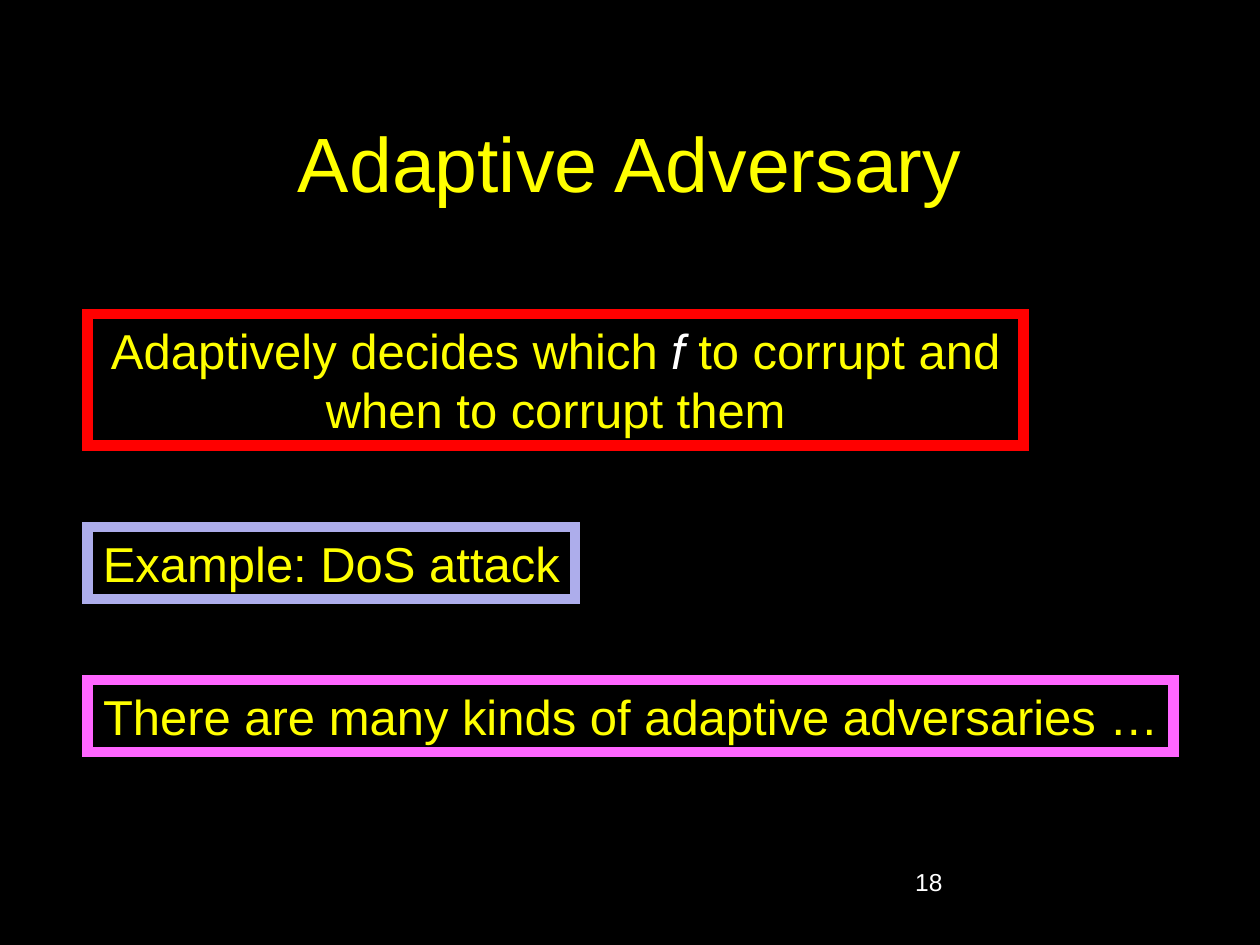
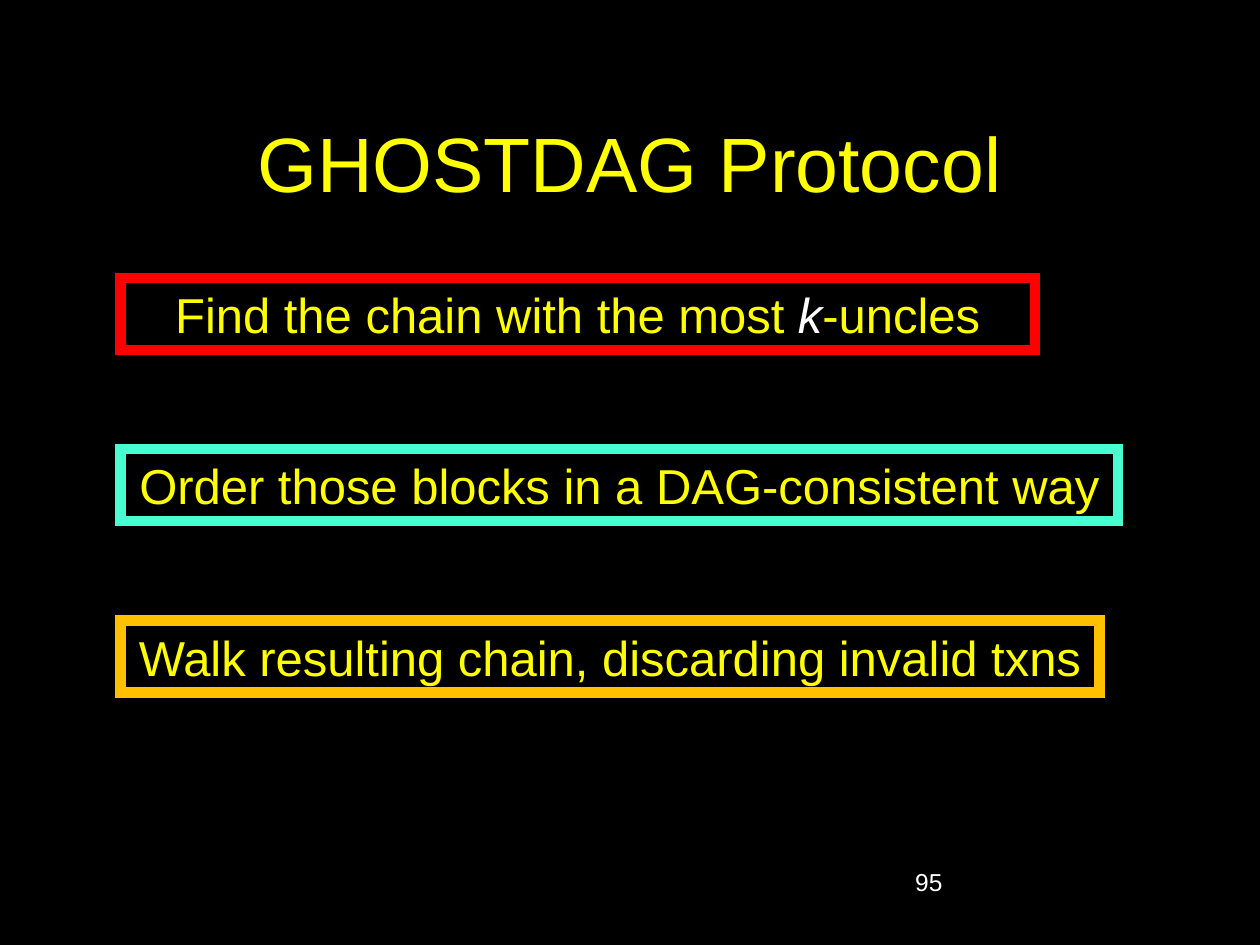
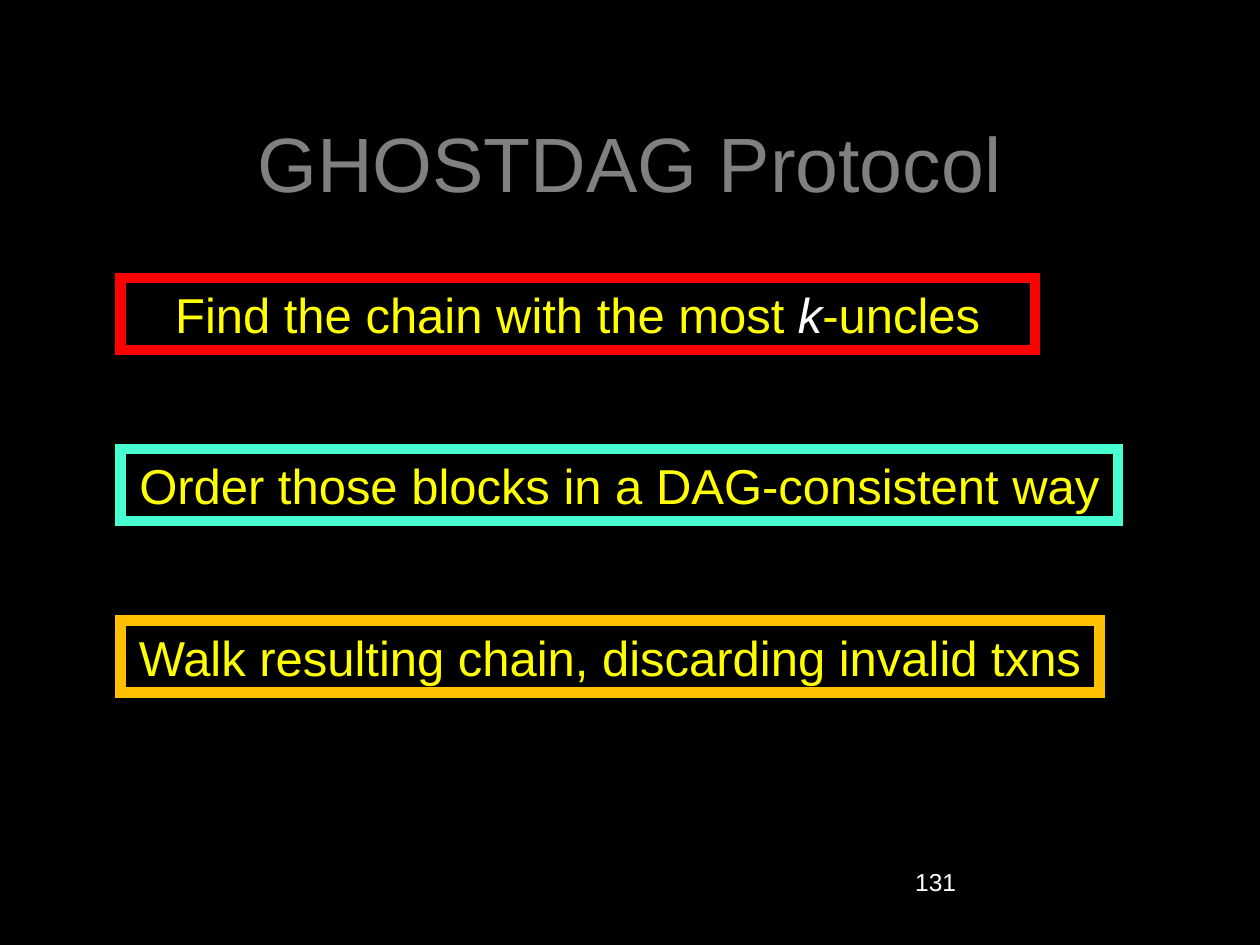
from dataclasses import dataclass

from lxml import etree
from pptx import Presentation
from pptx.dml.color import RGBColor
from pptx.enum.shapes import MSO_SHAPE
from pptx.enum.text import MSO_ANCHOR, PP_ALIGN
from pptx.oxml.ns import qn
from pptx.util import Inches, Pt

RECT = MSO_SHAPE.RECTANGLE
LEFT, CENTER = PP_ALIGN.LEFT, PP_ALIGN.CENTER
TOP, MIDDLE = MSO_ANCHOR.TOP, MSO_ANCHOR.MIDDLE
COLS, ROWS = 100, 75


@dataclass(frozen=True)
class Theme:
    font: str = "Arial"
    back: str = "000000"
    text: str = "FFFF00"
    accent: str = "FFFFFF"
    faded: str = "808080"
    red: str = "FF0000"
    lilac: str = "ADADEB"
    pink: str = "FF66FF"
    mint: str = "47FFD1"
    amber: str = "FFC000"
    title: int = 44
    body: int = 28
    note: int = 14
    lead: float = 33.8  # line height of body text, points
    border: int = 6


class Deck:
    def __init__(self, theme):
        self.theme = theme
        self.prs = Presentation()
        self.prs.slide_width, self.prs.slide_height = Inches(10), Inches(7.5)
        self.slide = None

    def place(self, left, top, width, height):
        """Turn grid columns and rows into slide lengths."""
        col, row = self.prs.slide_width / COLS, self.prs.slide_height / ROWS
        return [round(n * unit) for n, unit in
                zip((left, top, width, height), (col, row, col, row))]

    def style(self, para, size, color, align):
        para.alignment = align
        font = para.font
        font.name, font.size = self.theme.font, Pt(size)
        font.color.rgb = RGBColor.from_string(color)

    def label(self, text, area, size, color, align=LEFT, anchor=TOP):
        frame = self.slide.shapes.add_textbox(*self.place(*area)).text_frame
        frame.word_wrap, frame.vertical_anchor = True, anchor
        frame.text = text
        self.style(frame.paragraphs[0], size, color, align)

    def page(self, title, number, color):
        """Start a slide with its title and page number."""
        self.slide = self.prs.slides.add_slide(self.prs.slide_layouts[6])
        fill = self.slide.background.fill
        fill.solid()
        fill.fore_color.rgb = RGBColor.from_string(self.theme.back)
        self.label(title, (7.5, 6.6, 85, 12.5), self.theme.title, color,
                   CENTER, MIDDLE)
        self.label(number, (71.65, 68.3, 20.8, 5), self.theme.note,
                   self.theme.accent)

    def box(self, text, area, color, wrap):
        """Framed statement; a part between asterisks is a variable."""
        theme = self.theme
        shape = self.slide.shapes.add_shape(RECT, *self.place(*area))
        shape.shadow.inherit = False
        shape.fill.solid()
        shape.fill.fore_color.rgb = RGBColor.from_string(theme.back)
        shape.line.color.rgb = RGBColor.from_string(color)
        shape.line.width = Pt(theme.border)
        # Sharp corners
        edge = shape.line._get_or_add_ln()
        etree.SubElement(edge, qn("a:miter"), lim="800000")
        frame = shape.text_frame
        frame.word_wrap, frame.vertical_anchor = wrap, TOP
        para = frame.paragraphs[0]
        para.line_spacing = Pt(theme.lead)
        self.style(para, theme.body, theme.text, CENTER)
        for i, part in enumerate(text.split("*")):
            run = para.add_run()
            run.text = part
            if i % 2:
                run.font.italic = True
                run.font.color.rgb = RGBColor.from_string(theme.accent)

    def stack(self, left, top, gap, items):
        """Boxes below each other with equal gaps."""
        for text, width, lines, color in items:
            height = 1 + 4.72 * lines
            self.box(text, (left, top, width, height), color, "*" in text)
            top += height + gap


def main():
    theme = Theme()
    deck = Deck(theme)

    # Adversary
    deck.page("Adaptive Adversary", "18", theme.text)
    deck.stack(6.95, 24.92, 6.45, [
        ("Adaptively decides which *f* to corrupt and when to corrupt them",
         74.3, 2, theme.red),
        ("Example: DoS attack", 38.7, 1, theme.lilac),
        ("There are many kinds of adaptive adversaries …", 86.2, 1, theme.pink),
    ])

    # Protocol, first bright and then faded
    steps = [
        ("Find the chain with the most *k*-uncles", 72.6, 1, theme.red),
        ("Order those blocks in a DAG-consistent way", 79.2, 1, theme.mint),
        ("Walk resulting chain, discarding invalid txns", 77.7, 1, theme.amber),
    ]
    for number, color in (("95", theme.text), ("131", theme.faded)):
        deck.page("GHOSTDAG Protocol", number, color)
        deck.stack(9.55, 22.05, 7.88, steps)

    deck.prs.save("out.pptx")


if __name__ == "__main__":
    main()
